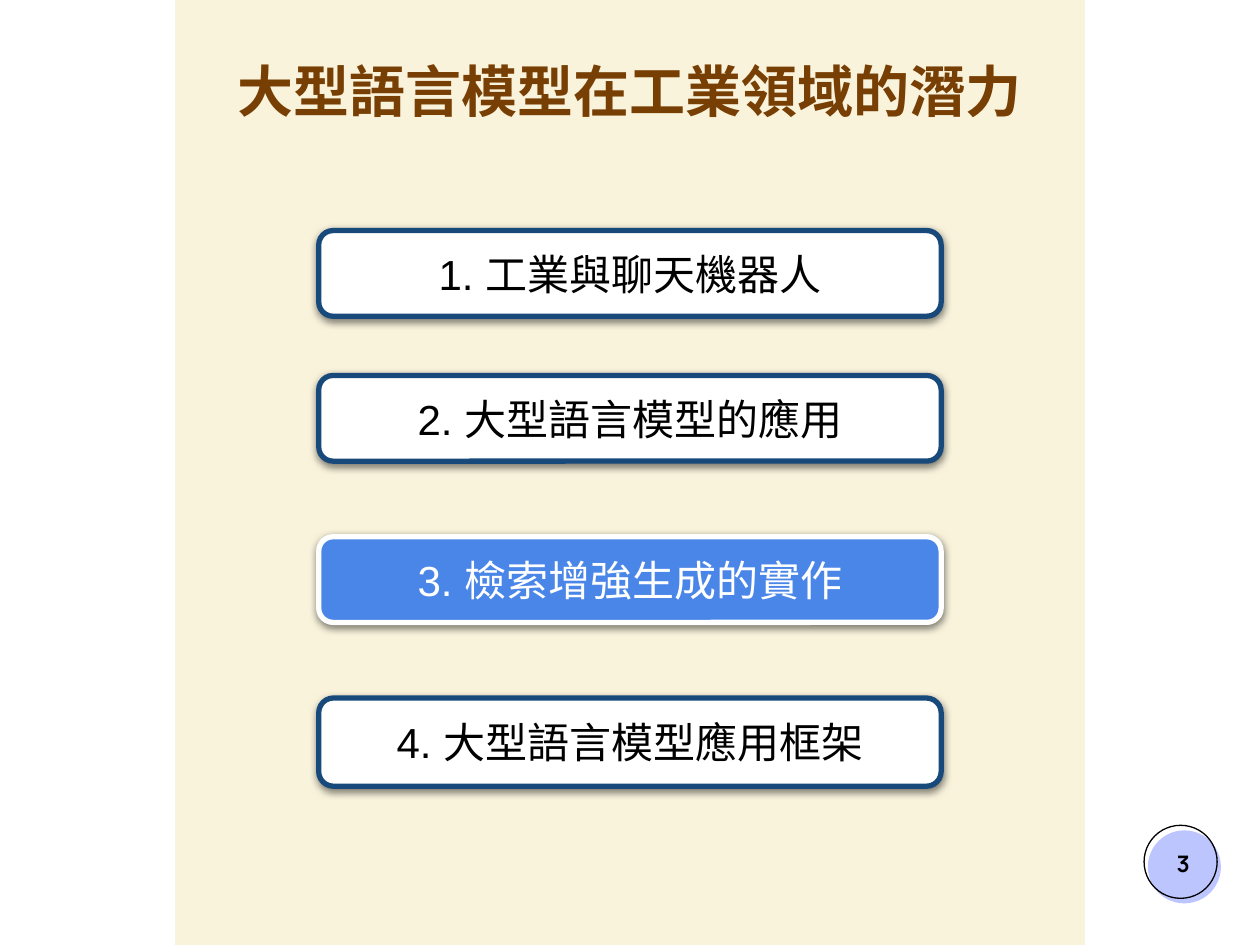
import pptx
import pptx.dml.color
import pptx.enum.shapes
import pptx.enum.text
import pptx.oxml
import pptx.oxml.ns
import pptx.util
from dataclasses import dataclass

PX = 9144  # EMU per px, 100 px to the inch
SHAPES = pptx.enum.shapes.MSO_SHAPE
ANCHOR = pptx.enum.text.MSO_ANCHOR


@dataclass(frozen=True)
class Theme:
    background: str = "F9F3DC"
    white: str = "FFFFFF"
    black: str = "000000"
    title: str = "783F04"
    border: str = "18497B"
    highlight: str = "4A86E8"
    badge: str = "BDC5FF"
    heading_font: str = "Manrope"
    body_font: str = "Arial"
    title_size: int = 32
    item_size: int = 24
    number_size: int = 13


THEME = Theme()


def color(value):
    return pptx.dml.color.RGBColor.from_string(value)


def emu(box):
    return [length * PX for length in box]


def add_shape(slide, kind, box, fill=None, line=None, line_width=0.75):
    shape = slide.shapes.add_shape(kind, *emu(box))
    shape.shadow.inherit = False
    if fill:
        shape.fill.solid()
        shape.fill.fore_color.rgb = color(fill)
    else:
        shape.fill.background()
    if line:
        shape.line.color.rgb = color(line)
        shape.line.width = pptx.util.Pt(line_width)
    else:
        shape.line.fill.background()
    return shape


def write(shape, text, font, size, text_color, bold=False, anchor=ANCHOR.MIDDLE, top=10):
    frame = shape.text_frame
    frame.word_wrap = True
    frame.vertical_anchor = anchor
    frame.margin_left = frame.margin_right = frame.margin_bottom = 10 * PX
    frame.margin_top = top * PX
    paragraph = frame.paragraphs[0]
    paragraph.text = text
    paragraph.alignment = pptx.enum.text.PP_ALIGN.CENTER
    paragraph.font.name = font
    paragraph.font.size = pptx.util.Pt(size)
    paragraph.font.bold = bold
    paragraph.font.color.rgb = color(text_color)


def add_drop_shadow(shape):
    effects = shape._element.spPr.find(pptx.oxml.ns.qn("a:effectLst"))
    effects.append(pptx.oxml.parse_xml(
        f'<a:outerShdw {pptx.oxml.ns.nsdecls("a")} blurRad="57150" dist="19050" '
        'dir="5400000" algn="bl" rotWithShape="0">'
        f'<a:srgbClr val="{THEME.black}"><a:alpha val="50000"/></a:srgbClr></a:outerShdw>'))


def add_margins(slide, width, height, margin):
    for left in (width - margin, 0):
        add_shape(slide, SHAPES.RECTANGLE, (left, 0, margin, height), THEME.white)


def add_page_number(slide, box, number):
    left, top, width, height = box
    # Offset disc and ring
    add_shape(slide, SHAPES.OVAL, (left + 3, top + 4, width, height), THEME.badge)
    add_shape(slide, SHAPES.OVAL, box, line=THEME.black)
    # Number
    label = slide.shapes.add_textbox(*emu((left + 1, top + 2, width + 2, height - 1)))
    write(label, number, THEME.heading_font, THEME.number_size, THEME.black, bold=True)


def add_title(slide, box, text):
    title = slide.shapes.add_textbox(*emu(box))
    write(title, text, THEME.heading_font, THEME.title_size, THEME.title,
          bold=True, anchor=ANCHOR.TOP, top=0)


def add_agenda(slide, box, items, current):
    left, top, width, height = box
    for index, (offset, extra_height, text) in enumerate(items, start=1):
        active = index == current
        item = add_shape(
            slide, SHAPES.ROUNDED_RECTANGLE, (left, top + offset, width, height + extra_height),
            THEME.highlight if active else THEME.white,
            THEME.white if active else THEME.border, line_width=3)
        item.adjustments[0] = 0.167
        add_drop_shadow(item)
        write(item, f"{index}. {text}", THEME.body_font, THEME.item_size,
              THEME.white if active else THEME.black)


def main():
    width, height, margin = 1000, 750, 139
    presentation = pptx.Presentation()
    presentation.slide_width, presentation.slide_height = emu((width, height))
    slide = presentation.slides.add_slide(presentation.slide_layouts[6])
    slide.background.fill.solid()
    slide.background.fill.fore_color.rgb = color(THEME.background)

    add_margins(slide, width, height, margin)
    add_page_number(slide, (908, 655, 58, 58), "3")
    add_title(slide, (margin, 45, width - 2 * margin, 68), "大型語言模型在工業領域的潛力")
    # Each item: offset from the first, extra height, text
    items = [
        (0, 0, "工業與聊天機器人"),
        (115, 0, "大型語言模型的應用"),
        (243, 0, "檢索增強生成的實作"),
        (371, 2, "大型語言模型應用框架"),
    ]
    add_agenda(slide, (253, 183, 494, 68), items, current=3)
    presentation.save("out.pptx")


if __name__ == "__main__":
    main()
